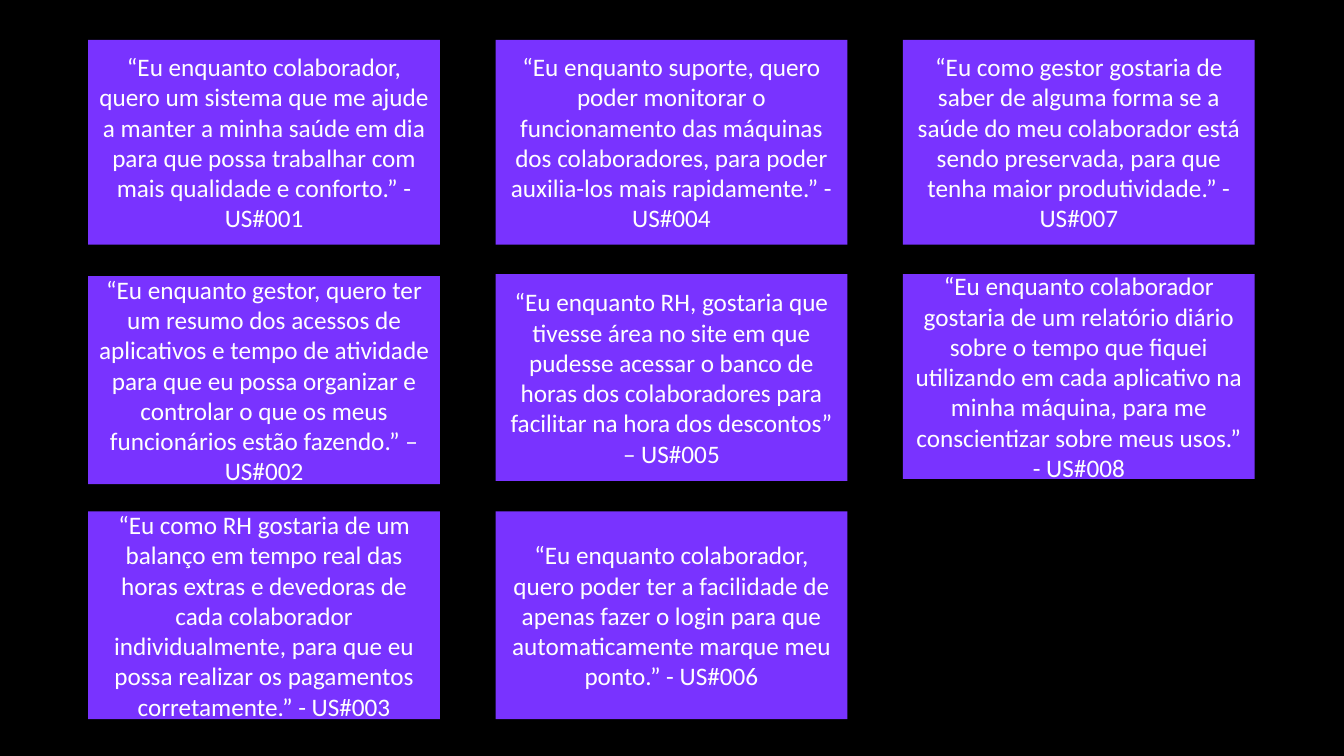
from pptx import Presentation
from pptx.dml.color import RGBColor
from pptx.enum.shapes import MSO_SHAPE as Shape
from pptx.enum.text import MSO_ANCHOR as Anchor, PP_ALIGN as Align
from pptx.util import Pt

BLACK = RGBColor(0x00, 0x00, 0x00)
WHITE = RGBColor(0xFF, 0xFF, 0xFF)
PURPLE = RGBColor(0x79, 0x33, 0xFF)
PX = 9525
LEFT, STEP, WIDTH = 84, 388, 335

STORIES = [
    [
        (38, 195, "“Eu enquanto colaborador, quero um sistema que me ajude a manter a minha saúde em dia "
                  "para que possa trabalhar com mais qualidade e conforto.” - US#001"),
        (263, 198, "“Eu enquanto gestor, quero ter um resumo dos acessos de aplicativos e tempo de atividade "
                   "para que eu possa organizar e controlar o que os meus funcionários estão fazendo.” – US#002"),
        (487, 198, "“Eu como RH gostaria de um balanço em tempo real das horas extras e devedoras de cada "
                   "colaborador individualmente, para que eu possa realizar os pagamentos corretamente.” - US#003"),
    ],
    [
        (38, 195, "“Eu enquanto suporte, quero poder monitorar o funcionamento das máquinas dos "
                  "colaboradores, para poder auxilia-los mais rapidamente.” - US#004"),
        (261, 197, "“Eu enquanto RH, gostaria que tivesse área no site em que pudesse acessar o banco de horas "
                   "dos colaboradores para facilitar na hora dos descontos” – US#005"),
        (487, 198, "“Eu enquanto colaborador, quero poder ter a facilidade de apenas fazer o login para que "
                   "automaticamente marque meu ponto.” - US#006"),
    ],
    [
        (38, 195, "“Eu como gestor gostaria de saber de alguma forma se a saúde do meu colaborador está "
                  "sendo preservada, para que tenha maior produtividade.” - US#007"),
        (261, 195, "“Eu enquanto colaborador gostaria de um relatório diário sobre o tempo que fiquei "
                   "utilizando em cada aplicativo na minha máquina, para me conscientizar sobre meus usos.” "
                   "- US#008"),
    ],
]


class Board:
    """Holds the card style and the current slide."""

    font, size, ink, fill = "Calibri", Pt(18), WHITE, PURPLE

    def __init__(self, slide):
        self.slide = slide

    def back(self, color):
        fill = self.slide.background.fill
        fill.solid()
        fill.fore_color.rgb = color

    def card(self, left, top, width, height, text):
        box = (n * PX for n in (left, top, width, height))
        card = self.slide.shapes.add_shape(Shape.RECTANGLE, *box)
        card.shadow.inherit = False
        card.fill.solid()
        card.fill.fore_color.rgb = self.fill
        card.line.fill.background()
        frame = card.text_frame
        frame.word_wrap = True
        frame.vertical_anchor = Anchor.MIDDLE
        para = frame.paragraphs[0]
        para.text = text
        para.alignment = Align.CENTER
        para.font.name = self.font
        para.font.size = self.size
        para.font.color.rgb = self.ink


def main():
    deck = Presentation()
    deck.slide_width, deck.slide_height = 1280 * PX, 720 * PX
    board = Board(deck.slides.add_slide(deck.slide_layouts[6]))
    board.back(BLACK)
    for col, cards in enumerate(STORIES):
        for top, height, text in cards:
            board.card(LEFT + col * STEP, top, WIDTH, height, text)
    deck.save("out.pptx")


if __name__ == "__main__":
    main()
